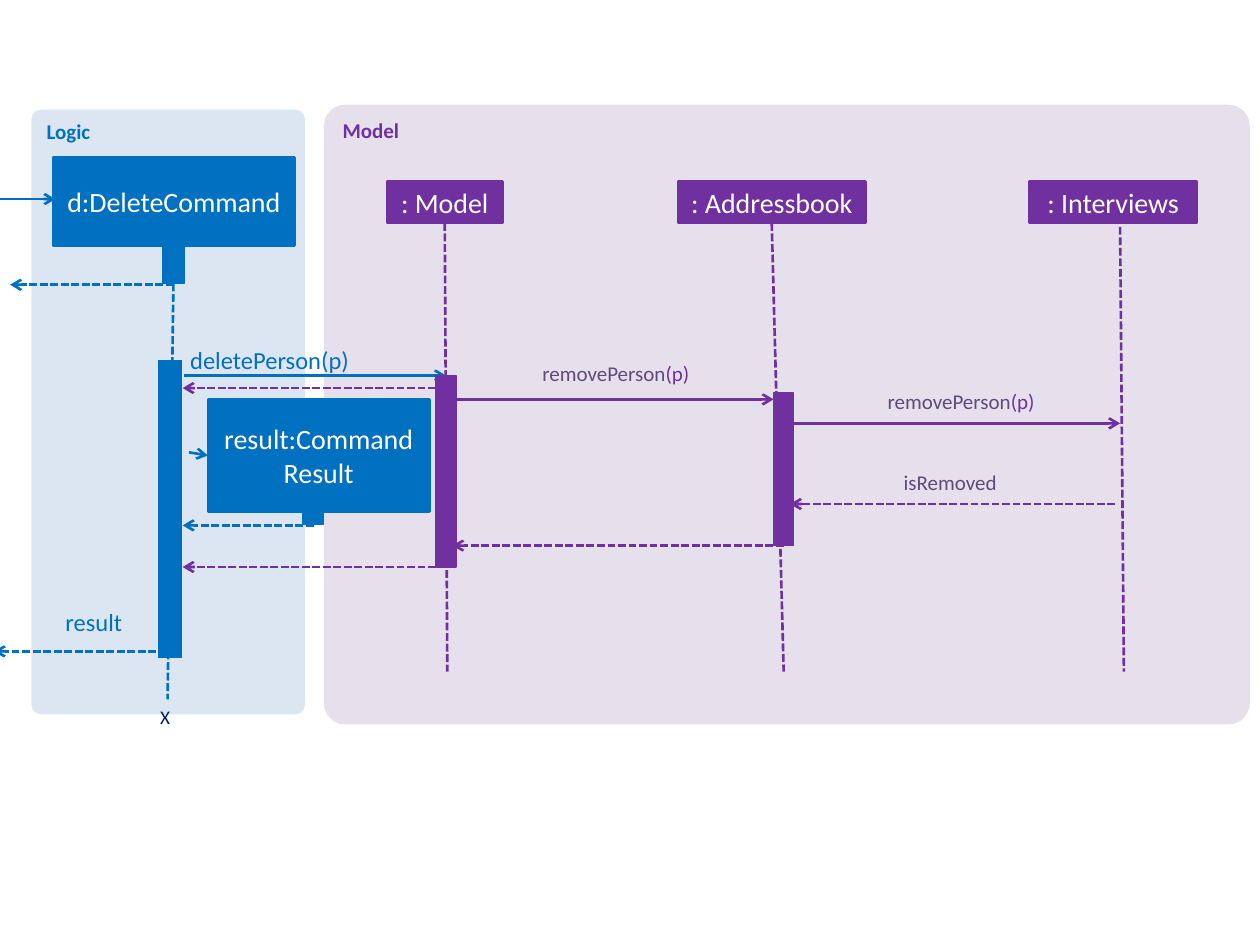
from dataclasses import dataclass

from lxml import etree
from pptx import Presentation
from pptx.dml.color import RGBColor
from pptx.enum.dml import MSO_LINE
from pptx.enum.shapes import MSO_CONNECTOR, MSO_SHAPE
from pptx.enum.text import MSO_ANCHOR, MSO_AUTO_SIZE, PP_ALIGN
from pptx.oxml.ns import qn
from pptx.shapes.autoshape import Shape
from pptx.util import Pt

EMU_PER_PX = 9144  # 100 px to the inch
RECT, ROUNDED = MSO_SHAPE.RECTANGLE, MSO_SHAPE.ROUNDED_RECTANGLE
STRAIGHT, DASH = MSO_CONNECTOR.STRAIGHT, MSO_LINE.SQUARE_DOT
LEFT, CENTER, RIGHT = PP_ALIGN.LEFT, PP_ALIGN.CENTER, PP_ALIGN.RIGHT
TOP, MIDDLE = MSO_ANCHOR.TOP, MSO_ANCHOR.MIDDLE
BOTTOM_SIDE, LEFT_SIDE = 2, 1


@dataclass(frozen=True)
class Theme:
    font: str = "Calibri"
    logic: str = "0070C0"
    logic_panel: str = "DCE6F2"
    model: str = "7030A0"
    model_panel: str = "E6E0EC"
    call: str = "604A7B"
    end_mark: str = "002060"
    white: str = "FFFFFF"
    head_size: int = 16
    logic_size: int = 14
    small_size: int = 12
    mark_size: int = 11
    line: float = 1.5
    thin_line: float = 0.75


THEME = Theme()


@dataclass(frozen=True)
class Box:
    left: int
    top: int
    width: int
    height: int


@dataclass(frozen=True)
class Panel:
    name: str
    box: Box
    fill: str
    color: str


@dataclass(frozen=True)
class Participant:
    name: str
    box: Box
    color: str
    wrap: bool = False


@dataclass(frozen=True)
class Activation:
    box: Box
    color: str


@dataclass(frozen=True)
class Line:
    """A line from start to end, optionally glued to a participant."""
    start: tuple[int, int]
    end: tuple[int, int]
    color: str
    dashed: bool = False
    arrow: bool = True
    from_head: str = ""
    to_head: str = ""


@dataclass(frozen=True)
class Label:
    colored_words: tuple[tuple[str, str], ...]
    box: Box
    size: int


def lifeline(start: tuple[int, int], end: tuple[int, int], color: str, head: str = "") -> Line:
    return Line(start, end, color, dashed=True, arrow=False, from_head=head)


LOGIC, MODEL = THEME.logic, THEME.model
RESULT = "result:CommandResult"
REMOVE_PERSON = (("removePerson", THEME.call), ("(p)", MODEL))

PANELS = (
    Panel("Model", Box(257, 83, 735, 492), THEME.model_panel, MODEL),
    Panel("Logic", Box(25, 87, 217, 480), THEME.logic_panel, LOGIC),
)
PARTICIPANTS = (
    Participant("d:DeleteCommand", Box(42, 125, 192, 70), LOGIC),
    Participant(RESULT, Box(165, 317, 176, 89), LOGIC, wrap=True),
    Participant(": Model", Box(307, 144, 92, 33), MODEL),
    Participant(": Addressbook", Box(538, 144, 149, 33), MODEL),
    Participant(": Interviews", Box(817, 144, 133, 33), MODEL),
)
LINES = (
    lifeline((138, 200), (133, 555), LOGIC),
    lifeline((353, 177), (355, 533), MODEL, ": Model"),
    lifeline((622, 177), (622, 533), MODEL, ": Addressbook"),
    lifeline((889, 180), (892, 533), MODEL),
    Line((-13, 158), (44, 158), LOGIC),
    Line((138, 226), (8, 226), LOGIC, dashed=True),
    Line((146, 298), (354, 298), LOGIC),
    Line((346, 308), (145, 308), MODEL, dashed=True),
    Line((150, 359), (165, 361), LOGIC, to_head=RESULT),
    Line((249, 417), (145, 417), LOGIC, dashed=True),
    Line((360, 317), (614, 317), MODEL),
    Line((630, 336), (889, 336), MODEL),
    Line((885, 400), (627, 400), MODEL, dashed=True),
    Line((622, 433), (359, 433), MODEL, dashed=True),
    Line((346, 450), (145, 450), MODEL, dashed=True),
    Line((124, 517), (-5, 517), LOGIC, dashed=True),
)
ACTIVATIONS = (
    Activation(Box(129, 195, 17, 30), LOGIC),
    Activation(Box(126, 286, 18, 236), LOGIC),
    Activation(Box(240, 386, 17, 30), LOGIC),
    Activation(Box(346, 298, 16, 152), MODEL),
    Activation(Box(614, 312, 16, 121), MODEL),
)
LABELS = (
    Label((("deletePerson(p)", LOGIC),), Box(148, 274, 129, 24), THEME.logic_size),
    Label(REMOVE_PERSON, Box(405, 286, 142, 20), THEME.small_size),
    Label(REMOVE_PERSON, Box(679, 308, 142, 20), THEME.small_size),
    Label((("isRemoved", THEME.call),), Box(687, 373, 104, 20), THEME.small_size),
    Label((("result", LOGIC),), Box(29, 482, 68, 24), THEME.logic_size),
    Label((("X", THEME.end_mark),), Box(125, 560, 10, 18), THEME.mark_size),
)


def px(*lengths: int) -> list[int]:
    return [length * EMU_PER_PX for length in lengths]


def place(box: Box) -> list[int]:
    return px(box.left, box.top, box.width, box.height)


def add_filled(shapes, kind, box: Box, fill: str, line_width: float = 0) -> Shape:
    shape = shapes.add_shape(kind, *place(box))
    shape.shadow.inherit = False
    shape.fill.solid()
    shape.fill.fore_color.rgb = RGBColor.from_string(fill)
    if line_width:
        shape.line.color.rgb = RGBColor.from_string(fill)
        shape.line.width = Pt(line_width)
    else:
        shape.line.fill.background()
    return shape


def write(shape: Shape, colored_words, size: int, align, anchor=TOP, wrap=True,
          bold=False) -> None:
    frame = shape.text_frame
    frame.word_wrap = wrap
    frame.vertical_anchor = anchor
    paragraph = frame.paragraphs[0]
    paragraph.alignment = align
    paragraph.font.name = THEME.font
    paragraph.font.size = Pt(size)
    paragraph.font.bold = bold
    for text, color in colored_words:
        run = paragraph.add_run()
        run.text = text
        run.font.color.rgb = RGBColor.from_string(color)


def add_panel(shapes, panel: Panel) -> None:
    shape = add_filled(shapes, ROUNDED, panel.box, panel.fill)
    shape.adjustments[0] = 0.035
    write(shape, ((panel.name, panel.color),), THEME.small_size, LEFT, bold=True)


def add_participant(shapes, participant: Participant) -> Shape:
    head = add_filled(shapes, RECT, participant.box, participant.color, THEME.line)
    write(head, ((participant.name, THEME.white),), THEME.head_size, CENTER, MIDDLE,
          participant.wrap)
    return head


def add_line(shapes, line: Line, heads: dict[str, Shape]) -> None:
    connector = shapes.add_connector(STRAIGHT, *px(*line.start, *line.end))
    connector.line.color.rgb = RGBColor.from_string(line.color)
    connector.line.width = Pt(THEME.line)
    if line.dashed:
        connector.line.dash_style = DASH
    properties = connector._element.spPr
    if line.arrow:
        etree.SubElement(properties.find(qn("a:ln")), qn("a:tailEnd"), type="arrow")
    etree.SubElement(properties, qn("a:effectLst"))
    if line.from_head:
        connector.begin_connect(heads[line.from_head], BOTTOM_SIDE)
    if line.to_head:
        connector.end_connect(heads[line.to_head], LEFT_SIDE)


def add_label(shapes, label: Label) -> None:
    caption = shapes.add_textbox(*place(label.box))
    frame = caption.text_frame
    frame.margin_left = frame.margin_right = frame.margin_top = frame.margin_bottom = 0
    frame.auto_size = MSO_AUTO_SIZE.SHAPE_TO_FIT_TEXT
    write(caption, label.colored_words, label.size, RIGHT)


def main() -> None:
    deck = Presentation()
    deck.slide_width, deck.slide_height = px(1000, 750)
    shapes = deck.slides.add_slide(deck.slide_layouts[6]).shapes
    for panel in PANELS:
        add_panel(shapes, panel)
    heads = {head.name: add_participant(shapes, head) for head in PARTICIPANTS}
    for line in LINES:
        add_line(shapes, line, heads)
    for bar in ACTIVATIONS:
        add_filled(shapes, RECT, bar.box, bar.color, THEME.thin_line)
    for label in LABELS:
        add_label(shapes, label)
    deck.save("out.pptx")


if __name__ == "__main__":
    main()
